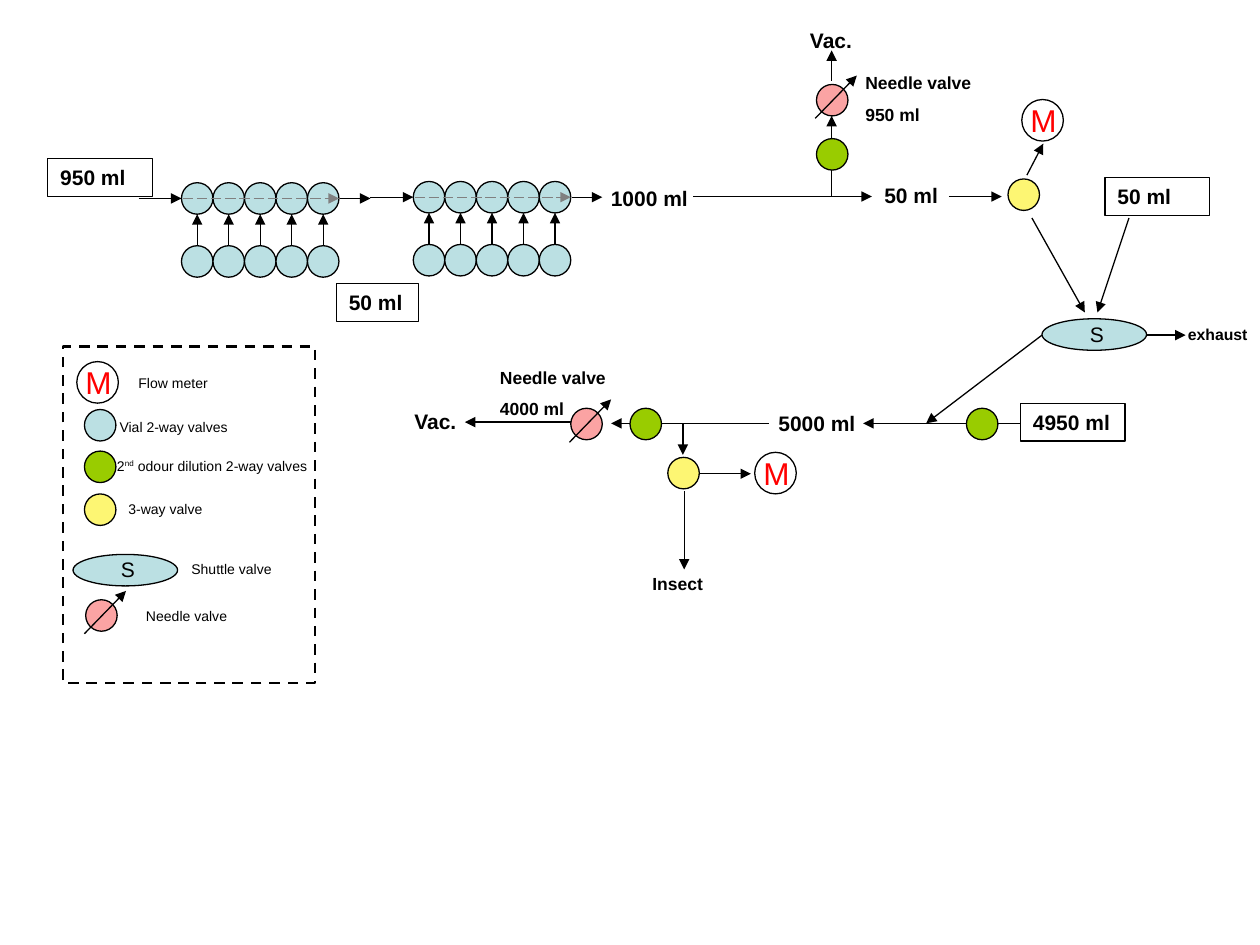
from dataclasses import dataclass
from lxml.etree import SubElement
from pptx import Presentation
from pptx.dml.color import RGBColor
from pptx.enum.dml import MSO_LINE
from pptx.enum.shapes import MSO_CONNECTOR, MSO_SHAPE
from pptx.enum.text import MSO_ANCHOR, PP_ALIGN
from pptx.oxml.ns import qn
from pptx.util import Inches, Pt

COLUMNS, ROWS = 1000, 750
WIDTH, HEIGHT = Inches(10), Inches(7.5)
VALVE = 25
VIALS_PER_BANK = 5
BLACK, GREY, RED = "000000", "808080", "FF0000"
VIAL, DILUTION, THREE_WAY, NEEDLE = "BBE0E3", "99CC00", "FDF673", "FBA3A3"


@dataclass
class Cell:
    column: float
    row: float
    columns: float
    rows: float


@dataclass
class Arrow:
    from_column: float
    from_row: float
    to_column: float
    to_row: float
    colour: str = BLACK
    dash: MSO_LINE | None = None


@dataclass
class Label:
    cell: Cell
    text: str
    size: float = 12
    bold: bool = True
    colour: str = BLACK
    centred: bool = False
    framed: bool = False


def across(column: float) -> int:
    return round(WIDTH * column / COLUMNS)


def down(row: float) -> int:
    return round(HEIGHT * row / ROWS)


def rgb(colour: str) -> RGBColor:
    return RGBColor.from_string(colour)


def place(cell: Cell) -> tuple[int, int, int, int]:
    return across(cell.column), down(cell.row), across(cell.columns), down(cell.rows)


def draw_shape(shapes, kind, cell: Cell, fill: str | None = None, weight: float = 0.75):
    shape = shapes.add_shape(kind, *place(cell))
    shape.shadow.inherit = False
    if fill:
        shape.fill.solid()
        shape.fill.fore_color.rgb = rgb(fill)
    else:
        shape.fill.background()
    shape.line.color.rgb = rgb(BLACK)
    shape.line.width = Pt(weight)
    return shape


def draw_valve(shapes, column: float, row: float, fill: str) -> None:
    draw_shape(shapes, MSO_SHAPE.OVAL, Cell(column, row, VALVE, VALVE), fill)


def draw_arrow(shapes, arrow: Arrow) -> None:
    connector = shapes.add_connector(
        MSO_CONNECTOR.STRAIGHT,
        across(arrow.from_column), down(arrow.from_row),
        across(arrow.to_column), down(arrow.to_row))
    connector.line.color.rgb = rgb(arrow.colour)
    connector.line.width = Pt(0.75)
    if arrow.dash:
        connector.line.dash_style = arrow.dash
    properties = connector._element.spPr
    SubElement(properties.find(qn("a:ln")), qn("a:tailEnd"), type="triangle")
    SubElement(properties, qn("a:effectLst"))


def draw_label(shapes, label: Label):
    if label.framed:
        shape = draw_shape(shapes, MSO_SHAPE.RECTANGLE, label.cell)
    else:
        shape = shapes.add_textbox(*place(label.cell))
    text_frame = shape.text_frame
    text_frame.word_wrap = True
    text_frame.vertical_anchor = MSO_ANCHOR.TOP
    text_frame.text = label.text
    for paragraph in text_frame.paragraphs:
        paragraph.alignment = PP_ALIGN.CENTER if label.centred else PP_ALIGN.LEFT
        paragraph.space_before = Pt(round(label.size * 0.625, 1))
        for run in paragraph.runs:
            style_run(run, label)
    return shape


def style_run(run, label: Label) -> None:
    run.font.name = "Arial"
    run.font.size = Pt(label.size)
    run.font.bold = label.bold
    run.font.color.rgb = rgb(label.colour)


def draw_bank(slide, left: float, top: float) -> None:
    shapes = slide.shapes.add_group_shape().shapes
    lower, middle = top + 2 * VALVE, top + VALVE / 2
    right = left + VIALS_PER_BANK * VALVE
    for index in range(VIALS_PER_BANK):
        column = left + index * VALVE
        centre = column + VALVE / 2
        draw_valve(shapes, column, lower, VIAL)
        draw_arrow(shapes, Arrow(centre, lower, centre, top + VALVE))
        draw_valve(shapes, column, top, VIAL)
    draw_arrow(shapes, Arrow(left - 34, middle, left, middle))
    draw_arrow(shapes, Arrow(left + 1, middle, right, middle, GREY, MSO_LINE.LONG_DASH))
    draw_arrow(shapes, Arrow(right + 1, middle, right + 25, middle))


def draw_needle(slide, column: float, row: float) -> None:
    shapes = slide.shapes.add_group_shape().shapes
    draw_valve(shapes, column, row, NEEDLE)
    draw_arrow(shapes, Arrow(column - 1, row + 27, column + 32, row - 7))


def draw_shuttle(slide, column: float, row: float) -> None:
    shapes = slide.shapes.add_group_shape().shapes
    draw_shape(shapes, MSO_SHAPE.OVAL, Cell(column, row, 83, VALVE), VIAL)
    draw_label(shapes, Label(Cell(column + 10, row - 3, 67, 30), "S", bold=False, centred=True))


def draw_meter(slide, column: float, row: float) -> None:
    shapes = slide.shapes.add_group_shape().shapes
    draw_shape(shapes, MSO_SHAPE.OVAL, Cell(column, row, 33, 33))
    draw_label(shapes, Label(Cell(column - 3, row - 3.5, 33, 40), "M", 18, False, RED))


ARROWS = [
    Arrow(550, 156, 692, 156), Arrow(660, 156, 660, 92), Arrow(660, 64, 660, 40),
    Arrow(753, 156, 795, 156), Arrow(819, 173, 861, 248), Arrow(896, 173, 871, 248),
    Arrow(910, 266, 941, 266), Arrow(827, 266, 735, 336), Arrow(810, 336, 685, 336),
    Arrow(453, 335, 369, 335), Arrow(610, 336, 485, 336), Arrow(543, 390, 543, 452),
    Arrow(542, 336, 542, 361), Arrow(555, 376, 596, 376), Arrow(815, 139, 828, 114),
]
VALVES = [
    (648, 110, DILUTION), (767, 324, DILUTION), (500, 324, DILUTION), (67, 358, DILUTION),
    (67, 325, VIAL), (530, 363, THREE_WAY), (800, 142, THREE_WAY), (67, 392, THREE_WAY),
]
LABELS = [
    Label(Cell(38, 126, 83, 30), "950 ml", framed=True),
    Label(Cell(267, 225, 65, 30), "50 ml", framed=True),
    Label(Cell(877, 141, 83, 30), "50 ml", framed=True),
    Label(Cell(810, 320, 83, 30), "4950 ml", framed=True),
    Label(Cell(475, 142, 83, 30), "1000 ml"),
    Label(Cell(692, 140, 83, 30), "50 ml"),
    Label(Cell(608, 321, 83, 30), "5000 ml"),
    Label(Cell(633, 17, 58, 30), "Vac."),
    Label(Cell(319, 319, 58, 30), "Vac."),
    Label(Cell(677, 52, 133, 52), "Needle valve\n950 ml", 10),
    Label(Cell(387, 286, 133, 52), "Needle valve\n4000 ml", 10),
    Label(Cell(508, 450, 74, 27), "Insect", 10),
    Label(Cell(933, 253, 78, 25), "exhaust", 9),
    Label(Cell(100, 292, 125, 24), "Flow meter", 8, False),
    Label(Cell(85, 327, 125, 24), "Vial 2-way valves", 8, False),
    Label(Cell(92, 392, 125, 24), "3-way valve", 8, False),
    Label(Cell(142, 440, 92, 24), "Shuttle valve", 8, False),
    Label(Cell(106, 477, 92, 24), "Needle valve", 8, False),
]
DILUTION_LABEL = Label(Cell(83, 358, 192, 24), "2", 8, False)


def main() -> None:
    presentation = Presentation()
    presentation.slide_width, presentation.slide_height = WIDTH, HEIGHT
    slide = presentation.slides.add_slide(presentation.slide_layouts[6])
    for left, top in [(144, 145), (328, 144)]:
        draw_bank(slide, left, top)
    for arrow in ARROWS:
        draw_arrow(slide.shapes, arrow)
    for column, row, fill in VALVES:
        draw_valve(slide.shapes, column, row, fill)
    for column, row in [(648, 67), (453, 324), (68, 476)]:
        draw_needle(slide, column, row)
    for column, row in [(827, 253), (58, 440)]:
        draw_shuttle(slide, column, row)
    for column, row in [(61, 287), (599, 359), (811, 79)]:
        draw_meter(slide, column, row)
    for label in LABELS:
        draw_label(slide.shapes, label)
    paragraph = draw_label(slide.shapes, DILUTION_LABEL).text_frame.paragraphs[0]
    for text, baseline in [("nd", "30000"), (" odour dilution 2-way valves", "0")]:
        run = paragraph.add_run()
        run.text = text
        style_run(run, DILUTION_LABEL)
        run._r.get_or_add_rPr().set("baseline", baseline)
    legend = draw_shape(slide.shapes, MSO_SHAPE.RECTANGLE, Cell(50, 275, 200, 267), weight=1.5)
    legend.line.dash_style = MSO_LINE.DASH
    presentation.save("out.pptx")


if __name__ == "__main__":
    main()
